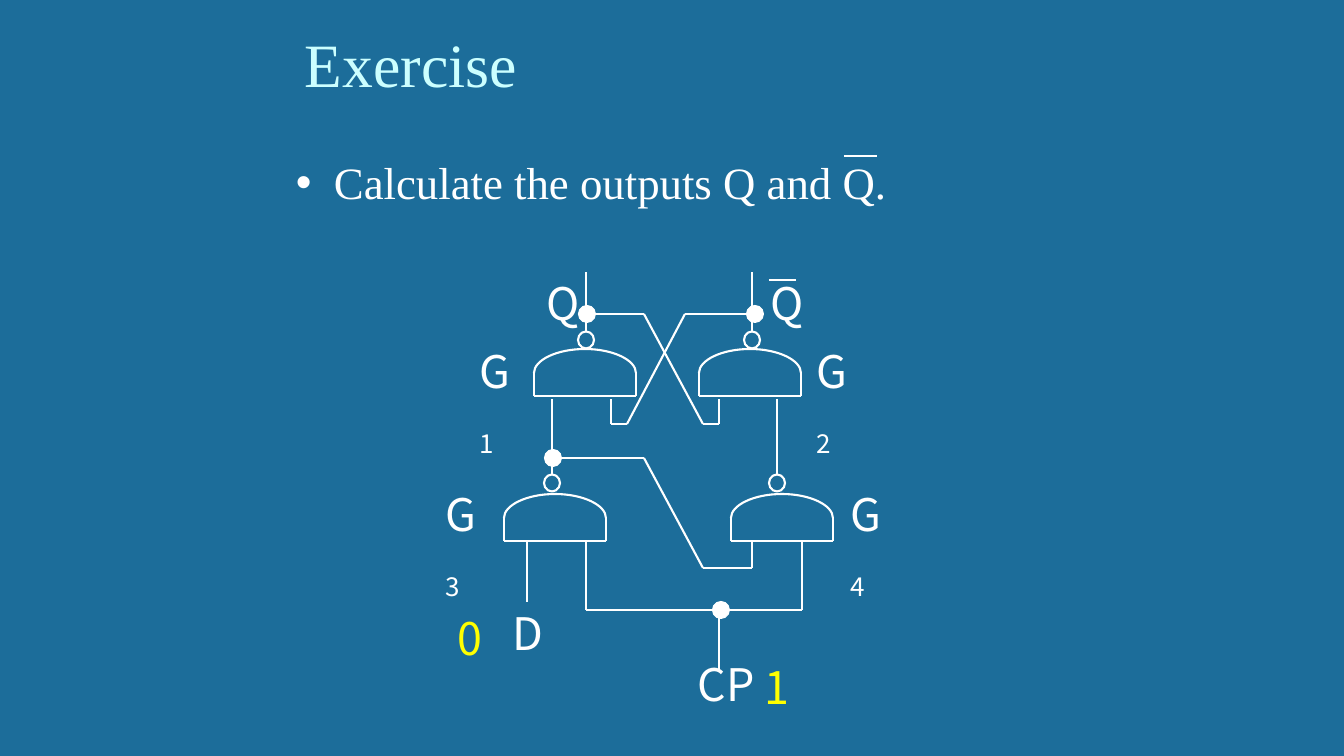
from dataclasses import dataclass
from itertools import pairwise

from lxml.etree import SubElement
from pptx import Presentation
from pptx.dml.color import RGBColor
from pptx.enum.shapes import MSO_CONNECTOR, MSO_SHAPE
from pptx.enum.text import MSO_ANCHOR
from pptx.oxml.ns import qn
from pptx.util import Pt

PX = 914400 / 100.8


@dataclass(frozen=True)
class Theme:
    background: RGBColor = RGBColor(0x1C, 0x6D, 0x9A)
    title: RGBColor = RGBColor(0xCC, 0xFF, 0xFF)
    ink: RGBColor = RGBColor(0xFF, 0xFF, 0xFF)
    signal: RGBColor = RGBColor(0xFF, 0xFF, 0x00)
    serif: str = "Times New Roman"
    sans: str = "Noto Sans CJK SC"
    title_size: Pt = Pt(44)
    text_size: Pt = Pt(32)
    wire: Pt = Pt(1.5)
    dot_line: Pt = Pt(0.75)


THEME = Theme()

WIRES = [
    [(752, 332), (752, 272)],
    [(586, 332), (586, 272)],
    [(586, 314), (644, 314), (703, 424), (719, 424), (719, 399)],
    [(752, 314), (685, 314), (627, 424), (611, 424), (611, 399)],
    [(552, 399), (552, 424)],
    [(552, 475), (552, 415)],
    [(777, 399), (777, 424)],
    [(777, 475), (777, 415)],
    [(552, 458), (644, 458), (703, 568), (752, 568), (752, 542)],
    [(586, 542), (586, 610), (802, 610), (802, 542)],
    [(719, 610), (719, 669)],
    [(527, 602), (527, 542)],
]
OVERLINES = [[(844, 156), (877, 156)], [(769, 280), (796, 280)]]
GATES = [(534, 349), (699, 349), (504, 494), (731, 494)]
BUBBLES = [(586, 340), (752, 340), (552, 483), (777, 483)]
JUNCTIONS = [(553, 458), (587, 314), (755, 314), (721, 610)]
GATE_NUMBERS = [(470, 339, "1"), (807, 339, "2"), (436, 482, "3"), (841, 482, "4")]
LABELS = [
    (761, 271, 42, "Q", THEME.ink),
    (537, 271, 42, "Q", THEME.ink),
    (503, 601, 42, "D", THEME.ink),
    (688, 652, 92, "CP", THEME.ink),
    (755, 655, 43, "1", THEME.signal),
    (448, 606, 43, "0", THEME.signal),
]


def emu(*lengths):
    return [round(length * PX) for length in lengths]


def add_text(slide, box, words, font, size, color):
    text = slide.shapes.add_textbox(*emu(*box))
    frame = text.text_frame
    frame.word_wrap = True
    frame.text = words
    style_run(frame.paragraphs[0].runs[0], font, size, color)
    return frame


def style_run(run, font, size, color):
    run.font.name = font
    run.font.size = size
    run.font.color.rgb = color
    for script in ("a:ea", "a:cs"):
        SubElement(run.font._element, qn(script), typeface=font)


def add_bullet(paragraph, indent):
    properties = paragraph._p.get_or_add_pPr()
    hang = emu(indent)[0]
    properties.set("marL", str(hang))
    properties.set("indent", str(-hang))
    SubElement(properties, qn("a:buFont"), typeface="Arial")
    SubElement(properties, qn("a:buChar"), char="•")


def add_wire(slide, points):
    for start, end in pairwise(points):
        segment = slide.shapes.add_connector(
            MSO_CONNECTOR.STRAIGHT, *emu(*start, *end)
        )
        segment.line.color.rgb = THEME.ink
        segment.line.width = THEME.wire
        SubElement(segment._element.spPr, qn("a:effectLst"))


def add_circle(slide, center, width, height, filled):
    x, y = center
    circle = slide.shapes.add_shape(
        MSO_SHAPE.OVAL, *emu(x - width / 2, y - height / 2, width, height)
    )
    circle.shadow.inherit = False
    circle.line.color.rgb = THEME.ink
    circle.line.width = THEME.dot_line if filled else THEME.wire
    if filled:
        circle.fill.solid()
        circle.fill.fore_color.rgb = THEME.ink
    else:
        circle.fill.background()


def curve_segments(shape):
    outline = next(shape._element.iter(qn("a:path")))
    corners = outline.findall(qn("a:lnTo"))
    for first in range(0, len(corners), 3):
        curve = SubElement(outline, qn("a:cubicBezTo"))
        for corner in corners[first:first + 3]:
            curve.append(corner[0])
            outline.remove(corner)


def add_dome(slide, left, top, width, rise):
    middle_x, middle_y = left + width / 2, top + rise / 2
    back, front = middle_x - rise / 2, middle_x + rise / 2
    upper, lower = middle_y - width / 2, middle_y + width / 2
    bend_x, bend_y = rise * 0.55, width / 2 * 0.55
    builder = slide.shapes.build_freeform(back, upper, scale=PX)
    builder.add_line_segments(
        [
            (back + bend_x, upper), (front, middle_y - bend_y), (front, middle_y),
            (front, middle_y + bend_y), (back + bend_x, lower), (back, lower),
        ],
        close=False,
    )
    dome = builder.convert_to_shape()
    curve_segments(dome)
    dome.rotation = 270
    dome.shadow.inherit = False
    dome.fill.background()
    dome.line.color.rgb = THEME.ink
    dome.line.width = THEME.wire


def add_gate(slide, left, top, width=102, rise=24, height=47):
    add_dome(slide, left, top, width, rise)
    right, shoulder, base = left + width, top + rise, top + height
    add_wire(slide, [(left, shoulder), (left, base), (right, base), (right, shoulder)])


def add_gate_name(slide, left, top, number):
    frame = add_text(
        slide, (left, top, 57, 64), "G", THEME.sans, THEME.text_size, THEME.ink
    )
    subscript = frame.paragraphs[0].add_run()
    subscript.text = number
    style_run(subscript, THEME.sans, THEME.text_size, THEME.ink)
    subscript.font._element.set("baseline", "-25000")


def add_heading(slide):
    heading = add_text(
        slide, (295, 21, 857, 84), "Exercise",
        THEME.serif, THEME.title_size, THEME.title,
    )
    heading.vertical_anchor = MSO_ANCHOR.BOTTOM
    task = add_text(
        slide, (286, 150, 865, 454), "Calculate the outputs Q and Q.",
        THEME.serif, THEME.text_size, THEME.ink,
    )
    task.paragraphs[0].space_before = Pt(6.4)
    add_bullet(task.paragraphs[0], 38)


def main():
    deck = Presentation()
    deck.slide_width, deck.slide_height = emu(1344, 756)
    slide = deck.slides.add_slide(deck.slide_layouts[6])
    slide.background.fill.solid()
    slide.background.fill.fore_color.rgb = THEME.background

    add_heading(slide)
    for points in WIRES + OVERLINES:
        add_wire(slide, points)
    for left, top in GATES:
        add_gate(slide, left, top)
    for center in BUBBLES:
        add_circle(slide, center, 16, 17, filled=False)
    for center in JUNCTIONS:
        add_circle(slide, center, 17, 17, filled=True)
    for left, top, number in GATE_NUMBERS:
        add_gate_name(slide, left, top, number)
    for left, top, width, words, color in LABELS:
        add_text(
            slide, (left, top, width, 64), words,
            THEME.sans, THEME.text_size, color,
        )
    deck.save("out.pptx")


if __name__ == "__main__":
    main()
